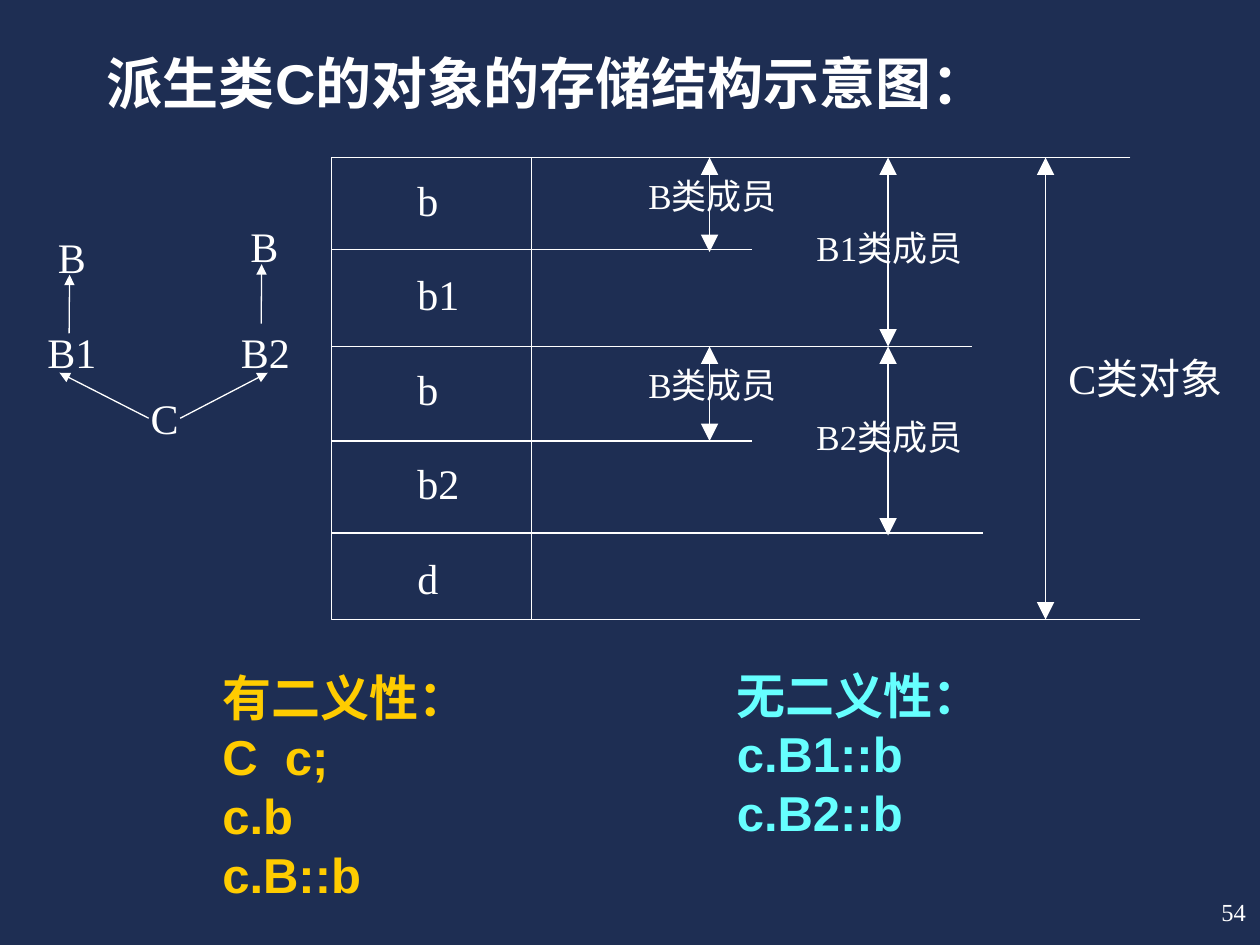
"""Builds a slide on how an object of a derived class is stored."""
from pptx import Presentation
from pptx.dml.color import RGBColor as Rgb
from pptx.enum.shapes import MSO_CONNECTOR as Link
from pptx.enum.text import PP_ALIGN as Align
from pptx.oxml.ns import qn
from pptx.util import Pt
from lxml.etree import SubElement as Sub

HUES = {"back": "1E2E53", "white": "FFFFFF", "gold": "FFCC00", "cyan": "66FFFF"}
SERIF, SANS = "Times New Roman", "Arial"
LEFT, TOP, BASE, MID = 189.5, 90, 354, 303.75
STEP = 54


def hue(name):
    return Rgb.from_string(HUES[name])


def add_text(slide, box, lines, size=24, font=SERIF, color="white",
             bold=False, align=Align.LEFT, wrap=True):
    frame = slide.shapes.add_textbox(*map(Pt, box)).text_frame
    frame.word_wrap = wrap
    for i, line in enumerate(lines):
        para = frame.paragraphs[0] if i == 0 else frame.add_paragraph()
        para.alignment = align
        run = para.add_run()
        run.text = line
        run.font.size = Pt(size)
        run.font.name = font
        run.font.bold = bold
        run.font.color.rgb = hue(color)


def add_line(slide, x1, y1, x2, y2, ends=(), size="med"):
    line = slide.shapes.add_connector(Link.STRAIGHT, *map(Pt, (x1, y1, x2, y2)))
    line.line.color.rgb = hue("white")
    line.line.width = Pt(0.75)
    props = line._element.spPr
    for end in ends:
        Sub(props.find(qn("a:ln")), qn(f"a:{end}"), type="triangle", w=size, len=size)
    Sub(props, qn("a:effectLst"))


def add_frame(slide):
    pen = slide.shapes.build_freeform(Pt(646), Pt(TOP))
    pen.add_line_segments([(Pt(x), Pt(y)) for x, y in
                           ((LEFT, TOP), (LEFT, BASE), (651.5, BASE))], close=False)
    shape = pen.convert_to_shape()
    shape.shadow.inherit = False
    shape.fill.background()
    shape.line.color.rgb = hue("white")
    shape.line.width = Pt(0.75)


def add_store(slide):
    add_frame(slide)
    add_line(slide, MID, TOP, MID, BASE)
    for y, end in ((142.5, 429.5), (198, 555.5), (252, 429.5), (304.5, 561.5)):
        add_line(slide, LEFT, y, end, y)
    for i, name in enumerate(("b", "b1", "b", "b2", "d")):
        add_text(slide, (231.5, 96 + i * STEP, 42, 36), [name])

    spans = [(597.5, TOP, BASE)]
    for i, name in enumerate(("B1类成员", "B2类成员")):
        drop = i * 2 * STEP
        y = TOP + drop
        spans += [(405.5, y, y + STEP), (507.5, y, y + 2 * STEP)]
        add_text(slide, (363.5, 96 + drop, 108, 31.5), ["B类成员"], 20)
        add_text(slide, (459.5, 126 + drop, 130, 31.5), [name], 20)
    for x, y1, y2 in spans:
        add_line(slide, x, y1, x, y2, ("headEnd", "tailEnd"), "lg")
    add_text(slide, (603.5, 198, 108, 36), ["C类对象"])


def add_tree(slide):
    for name, x, y, wide in (("B", 26, 128.5, 30), ("B", 136, 122.5, 30),
                             ("B1", 20, 183, 42.5), ("B2", 130.5, 183, 42.5),
                             ("C", 79, 221, 30)):
        add_text(slide, (x, y, wide, 36), [name], wrap=False)
    for ends in ((103, 239, 153, 213), (85, 239, 34, 213),
                 (149.25, 185, 149.5, 151), (39.5, 190.5, 39.75, 157)):
        add_line(slide, *ends, ("tailEnd",))


def main():
    deck = Presentation()
    deck.slide_width, deck.slide_height = Pt(720), Pt(540)
    slide = deck.slides.add_slide(deck.slide_layouts[6])
    slide.background.fill.solid()
    slide.background.fill.fore_color.rgb = hue("back")

    add_text(slide, (54, 24, 612, 66), ["派生类C的对象的存储结构示意图："],
             32, SANS, bold=True)
    add_store(slide)
    add_text(slide, (120, 378, 240, 144), ["有二义性：", "C  c;", "c.b", "c.B::b"],
             28, SANS, "gold", True)
    add_text(slide, (414, 376.5, 258, 159), ["无二义性：", "c.B1::b", "c.B2::b"],
             28, SANS, "cyan", True)
    add_text(slide, (671, 509, 48, 24.5), ["54"], 14, align=Align.RIGHT)
    add_tree(slide)
    deck.save("out.pptx")


if __name__ == "__main__":
    main()
